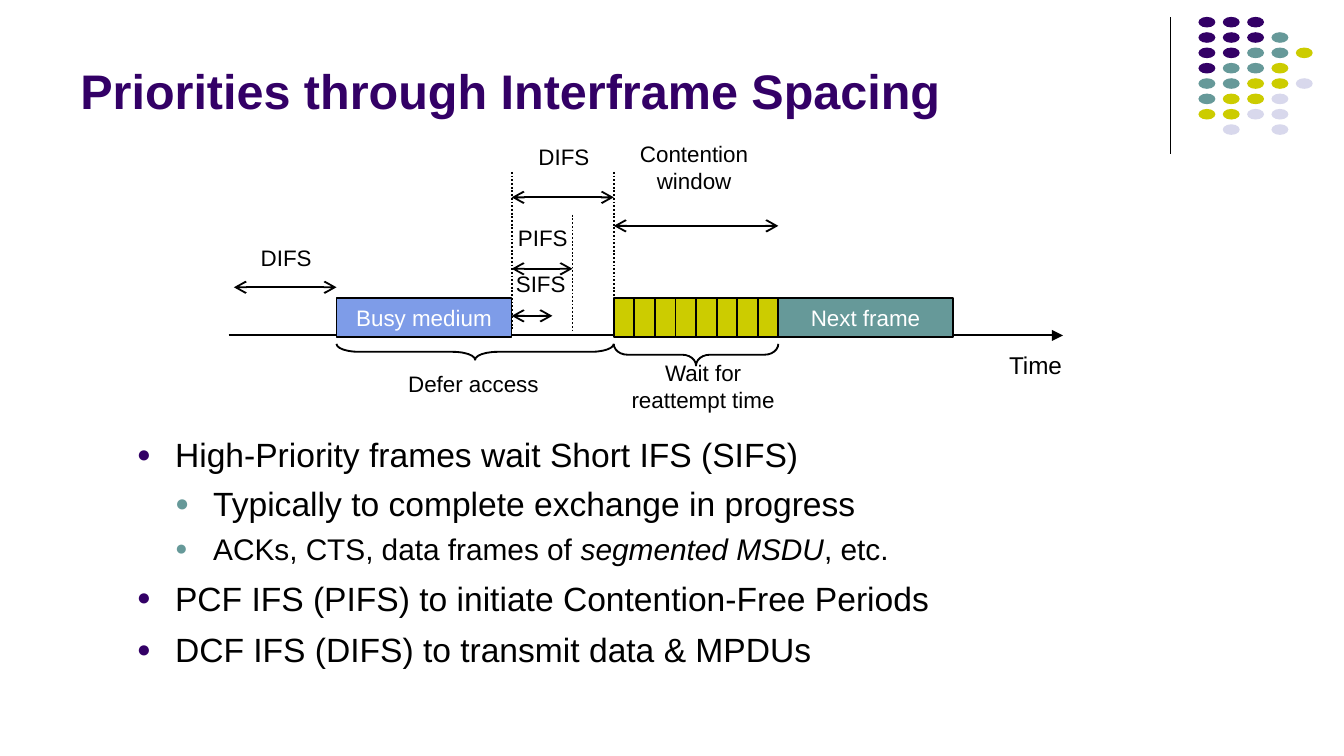
"""Build a slide on priorities through interframe spacing."""
from lxml import etree
from pptx import Presentation
from pptx import util as u
from pptx.dml.color import RGBColor
from pptx.enum import dml, shapes, text
from pptx.oxml import ns

FONT = "Arial"
BLACK, WHITE, PURPLE, TEAL, OLIVE, BLUE, LILAC = (
    "000000", "FFFFFF", "330066", "669999", "CCCC00", "7E9CE8", "D8D8EC")

TITLE = "Priorities through Interframe Spacing"
BULLETS = [
    (0, 18, 0, [("High-Priority frames wait Short IFS (SIFS)", False)]),
    (1, 18, 4.5, [("Typically to complete exchange in progress", False)]),
    (1, 16, 4, [("ACKs, CTS, data frames of ", False), ("segmented MSDU", True), (", etc.", False)]),
    (0, 18, 6, [("PCF IFS (PIFS) to initiate Contention-Free Periods", False)]),
    (0, 18, 6, [("DCF IFS (DIFS) to transmit data & MPDUs", False)]),
]
BULLET_COLORS = [PURPLE, TEAL]
BULLET_INDENT = 0.72

DOT_ROWS = ["PPP", "PPPT", "PPTTO", "PTTO", "TTOOL", "TOOL", "OOLL", " L L"]
DOT_COLORS = {"P": PURPLE, "T": TEAL, "O": OLIVE, "L": LILAC}

BUSY_START, BUSY_END = 6.36, 9.67
SIFS_END, PIFS_END, DIFS_END = 10.44, 10.82, 11.6
WINDOW_END, NEXT_END = 14.71, 18.01
BAR_TOP, BAR_HEIGHT = 5.64, 0.74
SLOT_COUNT = 8
AXIS = (4.32, 20.09, 6.34)

SPANS = [
    (4.42, BUSY_START, 5.43),
    (BUSY_END, DIFS_END, 3.73),
    (BUSY_END, PIFS_END, 5.08),
    (BUSY_END, SIFS_END, 5.97),
    (DIFS_END, WINDOW_END, 4.27),
]
GUIDES = [(BUSY_END, 3.25), (DIFS_END, 3.25), (PIFS_END, 4.06)]
GUIDE_BOTTOM = 6.25
BRACES = [
    (BUSY_START, DIFS_END, 6.5, 0.3, 1.42),
    (DIFS_END, WINDOW_END, 6.5, 0.41, 0.64),
]
LABELS = [
    (["DIFS"], 5.41, 4.87, 1.6, 12),
    (["DIFS"], 10.66, 2.96, 1.6, 12),
    (["PIFS"], 10.26, 4.5, 1.6, 12),
    (["SIFS"], 10.22, 5.36, 1.6, 12),
    (["Contention", "window"], 13.12, 3.16, 3.2, 12),
    (["Defer access"], 8.95, 7.26, 4.09, 12),
    (["Wait for", "reattempt time"], 13.29, 7.3, 4.09, 12),
    (["Time"], 19.57, 6.89, 1.8, 13),
]


def rgb(color):
    return RGBColor.from_string(color)


def add_run(paragraph, words, size, color=BLACK, bold=False, italic=False):
    run = paragraph.add_run()
    run.text = words
    run.font.name, run.font.size = FONT, u.Pt(size)
    run.font.bold, run.font.italic = bold, italic
    run.font.color.rgb = rgb(color)


def add_text_box(slide, left, top, width, height, anchor, wrap=True):
    frame = slide.shapes.add_textbox(*map(u.Cm, (left, top, width, height))).text_frame
    frame.word_wrap = wrap
    frame.vertical_anchor = anchor
    return frame


def add_shape(slide, kind, left, top, width, height, fill=None, outline=True):
    shape = slide.shapes.add_shape(kind, *map(u.Cm, (left, top, width, height)))
    shape.shadow.inherit = False
    if fill:
        shape.fill.solid()
        shape.fill.fore_color.rgb = rgb(fill)
    else:
        shape.fill.background()
    if outline:
        shape.line.color.rgb = rgb(BLACK)
        shape.line.width = u.Pt(1)
    else:
        shape.line.fill.background()
    return shape


def add_line(slide, x1, y1, x2, y2, width=1, head=None, tail=None, dash=None):
    connector = slide.shapes.add_connector(
        shapes.MSO_CONNECTOR.STRAIGHT, *map(u.Cm, (x1, y1, x2, y2)))
    connector.line.color.rgb = rgb(BLACK)
    connector.line.width = u.Pt(width)
    if dash:
        connector.line.dash_style = dash
    line = connector.line._get_or_add_ln()
    for tag, kind in (("a:headEnd", head), ("a:tailEnd", tail)):
        if kind:
            etree.SubElement(line, ns.qn(tag), type=kind)
    etree.SubElement(connector._element.spPr, ns.qn("a:effectLst"))


def add_bar(slide, start, end, fill, words=None):
    bar = add_shape(slide, shapes.MSO_SHAPE.RECTANGLE, start, BAR_TOP, end - start, BAR_HEIGHT, fill)
    if words:
        frame = bar.text_frame
        frame.word_wrap = False
        frame.vertical_anchor = text.MSO_ANCHOR.MIDDLE
        frame.paragraphs[0].alignment = text.PP_ALIGN.CENTER
        add_run(frame.paragraphs[0], words, 12, WHITE)


def add_brace(slide, start, end, top, depth, curve):
    length = end - start
    brace = add_shape(slide, shapes.MSO_SHAPE.LEFT_BRACE, (start + end - depth) / 2,
                      top + (depth - length) / 2, depth, length)
    brace.rotation = 270
    brace.adjustments[0] = curve


def add_bullet(paragraph, level):
    paragraph.level = level
    properties = paragraph._p.get_or_add_pPr()
    properties.set("marL", str(u.Cm(BULLET_INDENT * (level + 1))))
    properties.set("indent", str(-u.Cm(BULLET_INDENT)))
    color = etree.SubElement(properties, ns.qn("a:buClr"))
    etree.SubElement(color, ns.qn("a:srgbClr"), val=BULLET_COLORS[level])
    etree.SubElement(properties, ns.qn("a:buSzPct"), val="70000")
    etree.SubElement(properties, ns.qn("a:buFont"), typeface=FONT)
    etree.SubElement(properties, ns.qn("a:buChar"), char="●")


def add_dots(slide):
    for row, letters in enumerate(DOT_ROWS):
        for column, letter in enumerate(letters):
            if letter in DOT_COLORS:
                add_shape(slide, shapes.MSO_SHAPE.OVAL, 22.65 + 0.46 * column, 0.32 + 0.29 * row,
                          0.32, 0.2, DOT_COLORS[letter], outline=False)


def add_timeline(slide):
    start, end, level = AXIS
    add_line(slide, start, level, end, level, tail="triangle")
    for left, right, y in SPANS:
        add_line(slide, left, y, right, y, head="arrow", tail="arrow")
    for x, top in GUIDES:
        add_line(slide, x, top, x, GUIDE_BOTTOM, dash=dml.MSO_LINE.ROUND_DOT)
    add_bar(slide, BUSY_START, BUSY_END, BLUE, "Busy medium")
    slot = (WINDOW_END - DIFS_END) / SLOT_COUNT
    for index in range(SLOT_COUNT):
        add_bar(slide, DIFS_END + index * slot, DIFS_END + (index + 1) * slot, OLIVE)
    add_bar(slide, WINDOW_END, NEXT_END, TEAL, "Next frame")
    for brace in BRACES:
        add_brace(slide, *brace)
    for lines, x, y, width, size in LABELS:
        height = 0.25 + 0.51 * len(lines)
        frame = add_text_box(slide, x - width / 2, y - height / 2, width, height,
                             text.MSO_ANCHOR.MIDDLE, wrap=False)
        for index, words in enumerate(lines):
            paragraph = frame.add_paragraph() if index else frame.paragraphs[0]
            paragraph.alignment = text.PP_ALIGN.CENTER
            add_run(paragraph, words, size)


def main():
    presentation = Presentation()
    presentation.slide_width, presentation.slide_height = u.Cm(25.4), u.Cm(14.29)
    slide = presentation.slides.add_slide(presentation.slide_layouts[6])
    add_line(slide, 22.12, 0.33, 22.12, 2.92, width=0.75)
    add_dots(slide)
    title = add_text_box(slide, 1.27, 0.25, 20.95, 2.13, text.MSO_ANCHOR.BOTTOM)
    add_run(title.paragraphs[0], TITLE, 26, PURPLE, bold=True)
    body = add_text_box(slide, 2.34, 8.08, 20.75, 5, text.MSO_ANCHOR.TOP)
    for index, (level, size, space, runs) in enumerate(BULLETS):
        paragraph = body.add_paragraph() if index else body.paragraphs[0]
        paragraph.space_before = u.Pt(space)
        add_bullet(paragraph, level)
        for words, italic in runs:
            add_run(paragraph, words, size, italic=italic)
    add_timeline(slide)
    presentation.save("out.pptx")


if __name__ == "__main__":
    main()
